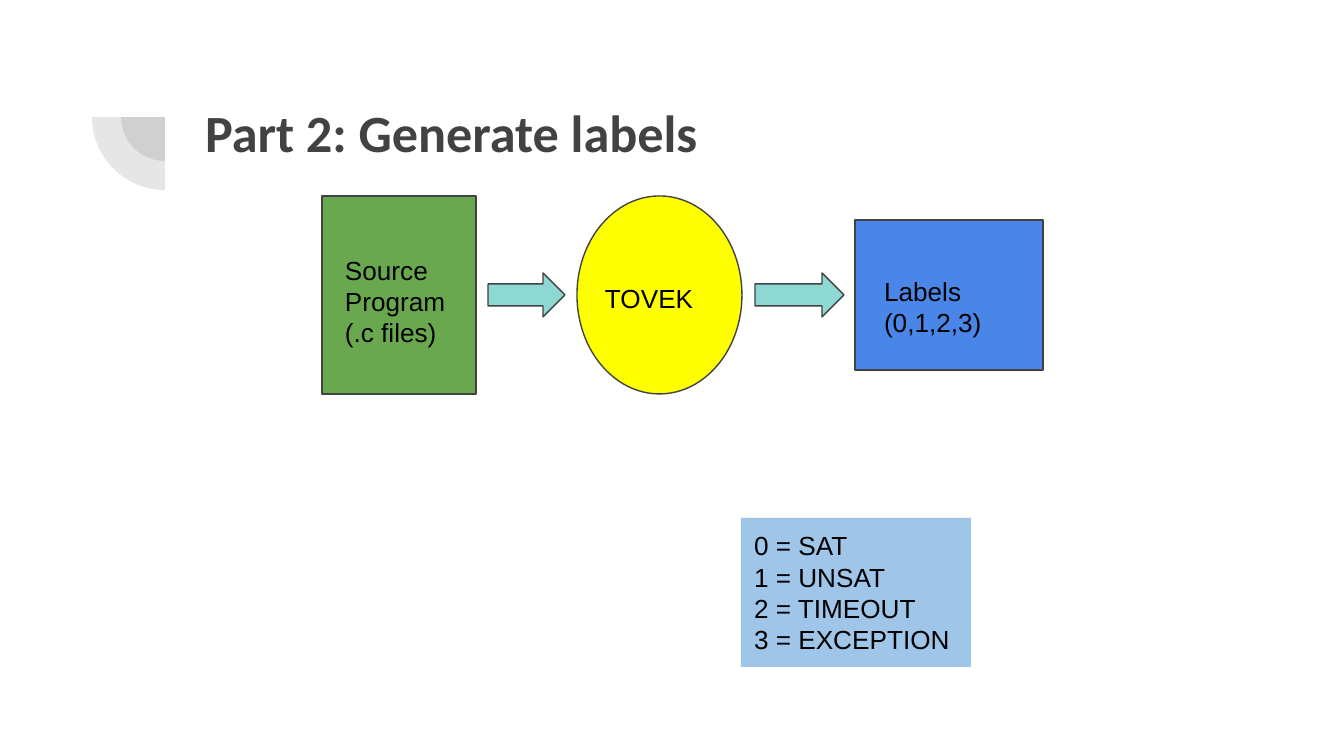
from lxml.etree import SubElement
from pptx import Presentation
from pptx.dml.color import RGBColor
from pptx.enum.shapes import MSO_SHAPE
from pptx.enum.text import MSO_ANCHOR, PP_ALIGN
from pptx.oxml.ns import qn
from pptx.util import Pt

SCALE = 914400 / 134.4
DARK = "424242"
HUB = (165, 117)
PIES = [44, 73]
MID = 295
FLOW = [
    (MSO_SHAPE.RECTANGLE, 322, 154, 198, "6AA84F"),
    (MSO_SHAPE.OVAL, 577, 165, 198, "FFFF00"),
    (MSO_SHAPE.RIGHT_ARROW, 488, 77, 44, "8DD8D3"),
    (MSO_SHAPE.RIGHT_ARROW, 755, 89, 44, "8DD8D3"),
    (MSO_SHAPE.RECTANGLE, 855, 188, 150, "4A86E8"),
]
TITLE = {"size": Pt(28), "name": "Calibri", "bold": True}
BODY = {"size": Pt(14), "name": "Arial"}
TEXTS = [
    ((192, 87, 1034, 147), ["Part 2: Generate labels"], TITLE, DARK),
    ((332, 241, 136, 110), ["Source", "Program", "(.c files)"], BODY, "000000"),
    ((592, 269, 136, 51), ["TOVEK"], BODY, "000000"),
    ((871, 262, 164, 89), ["Labels (0,1,2,3)"], BODY, "000000"),
]
KEY = ["0 = SAT", "1 = UNSAT", "2 = TIMEOUT", "3 = EXCEPTION"]


def px(n):
    return round(n * SCALE)


def color(form, code):
    form.rgb = RGBColor.from_string(code)


def draw(kind, box, code, line=None):
    shape = slide.shapes.add_shape(kind, *map(px, box))
    shape.shadow.inherit = False
    shape.fill.solid()
    color(shape.fill.fore_color, code)
    if line:
        color(shape.line.color, line)
        shape.line.width = Pt(0.75)
    else:
        shape.line.fill.background()
    return shape


def write(shape, lines, look, code, anchor=MSO_ANCHOR.TOP):
    frame = shape.text_frame
    pad = px(13)
    form = {"word_wrap": True, "vertical_anchor": anchor, "margin_left": pad,
            "margin_right": pad, "margin_top": pad, "margin_bottom": pad}
    for name, value in form.items():
        setattr(frame, name, value)
    frame.text = "\n".join(lines)
    for para in frame.paragraphs:
        para.alignment = PP_ALIGN.LEFT
        font = para.runs[0].font
        for name, value in look.items():
            setattr(font, name, value)
        color(font.color, code)


deck = Presentation()
deck.slide_width, deck.slide_height = px(1344), px(756)
slide = deck.slides.add_slide(deck.slide_layouts[6])

for r in PIES:
    pie = draw(MSO_SHAPE.PIE, (HUB[0] - r, HUB[1] - r, 2 * r, 2 * r), DARK)
    pie.rotation = 270
    pie.adjustments[0], pie.adjustments[1] = 108, 162
    tint = next(pie.element.iter(qn("a:srgbClr")))
    SubElement(tint, qn("a:alpha")).set("val", "13000")

for kind, left, wide, high, code in FLOW:
    draw(kind, (left, MID - high / 2, wide, high), code, DARK)

for box, lines, look, code in TEXTS:
    write(slide.shapes.add_textbox(*map(px, box)), lines, look, code)

key = draw(MSO_SHAPE.RECTANGLE, (741, 518, 230, 149), "9FC5E8")
write(key, KEY, BODY, "000000", MSO_ANCHOR.MIDDLE)

deck.save("out.pptx")
